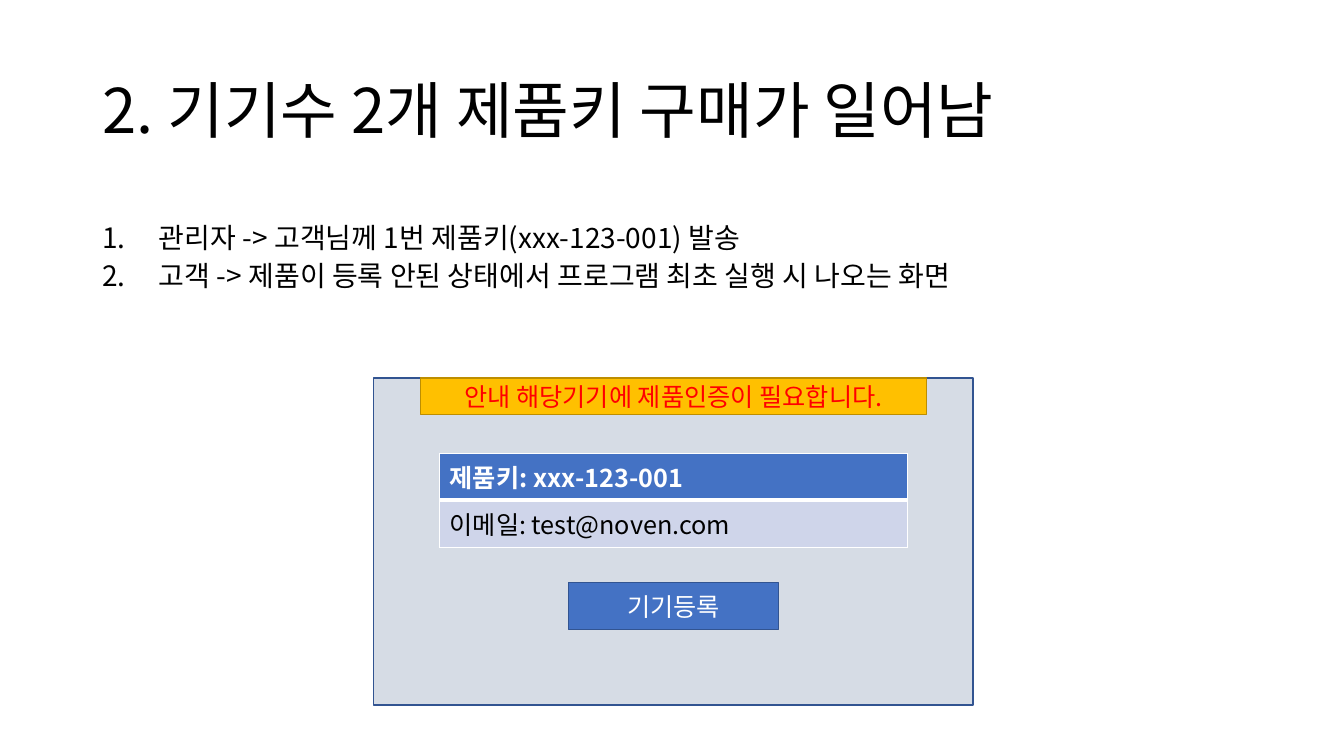
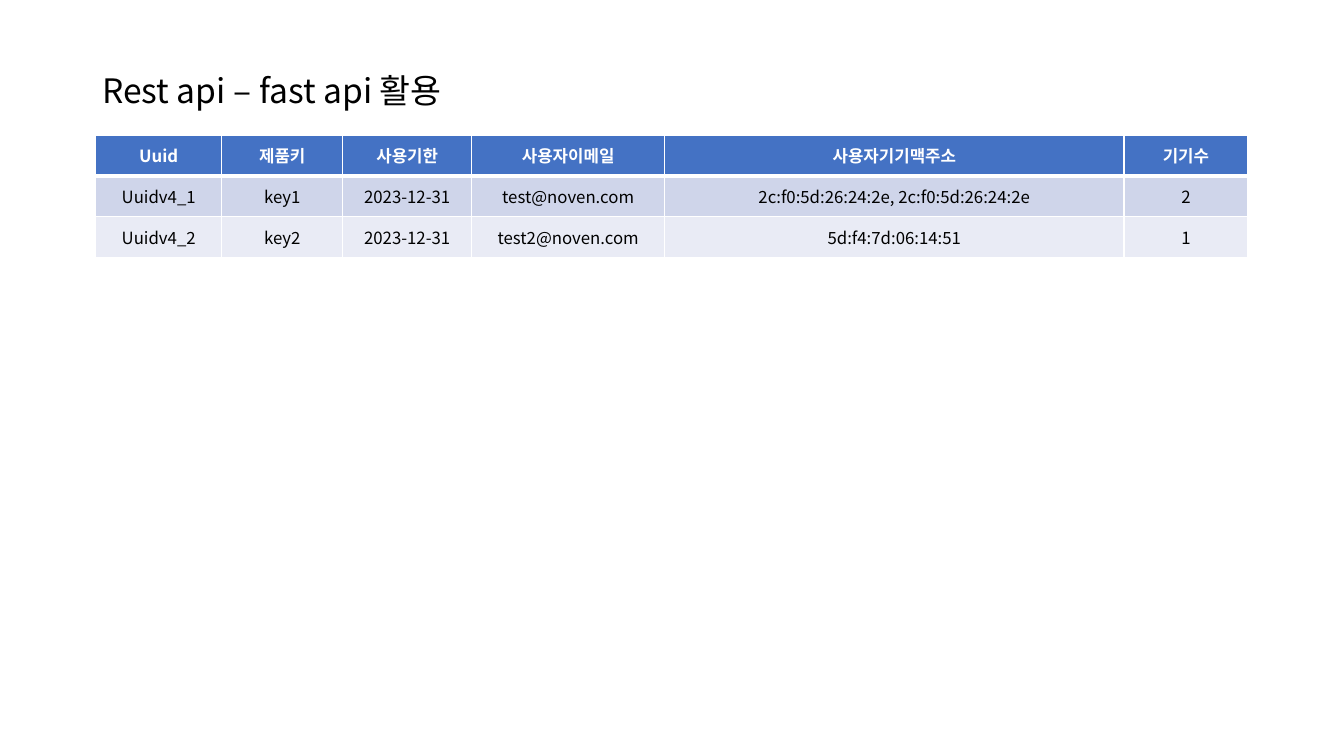
from pptx import Presentation
from pptx.dml.color import RGBColor
from pptx.enum.shapes import MSO_SHAPE as Shape
from pptx.enum.text import MSO_ANCHOR as Anchor, PP_ALIGN as Align
from pptx.oxml.ns import qn
from pptx.util import Pt
from lxml.etree import SubElement

# Shared style
FONT = "Noto Sans CJK KR"
COLORS = {
    "black": "000000",
    "white": "FFFFFF",
    "red": "FF0000",
    "blue": "4472C4",
    "blue_edge": "325491",
    "amber": "FFC000",
    "amber_edge": "BD8E00",
    "window": "D6DCE5",
    "band_dark": "CFD5EA",
    "band_light": "E9EBF5",
}
MARGIN, CONTENT_WIDTH, TITLE_TOP = 66, 828, 28.8
WINDOW_CENTER = 481


def color(name):
    return RGBColor.from_string(COLORS[name])


def write(paragraph, text, size=18, ink="black", bold=False, align=Align.LEFT,
          line_spacing=None, space_after=0):
    """Write one formatted run into a paragraph."""
    paragraph.alignment = align
    paragraph.line_spacing = line_spacing
    paragraph.space_after = Pt(space_after)
    run = paragraph.add_run()
    run.text = text
    run.font.name = FONT
    run.font.size = Pt(size)
    run.font.bold = bold
    run.font.color.rgb = color(ink)
    SubElement(run.font._element, qn("a:ea"), typeface=FONT)


def add_text_box(slide, left, top, width, height, anchor=Anchor.TOP):
    box = slide.shapes.add_textbox(Pt(left), Pt(top), Pt(width), Pt(height))
    box.text_frame.word_wrap = True
    box.text_frame.vertical_anchor = anchor
    return box.text_frame


def add_title(slide, text, size, height):
    frame = add_text_box(slide, MARGIN, TITLE_TOP, CONTENT_WIDTH, height, Anchor.MIDDLE)
    write(frame.paragraphs[0], text, size=size, line_spacing=0.9)


def add_numbered_list(slide, items, top, height, indent=40.5):
    frame = add_text_box(slide, MARGIN, top, CONTENT_WIDTH, height)
    for index, item in enumerate(items):
        paragraph = frame.add_paragraph() if index else frame.paragraphs[0]
        write(paragraph, item, size=20, line_spacing=0.9, space_after=5.4)
        properties = paragraph._p.get_or_add_pPr()
        properties.set("marL", str(Pt(indent)))
        properties.set("indent", str(-Pt(indent)))
        SubElement(properties, qn("a:buFont"), typeface="+mj-lt")
        SubElement(properties, qn("a:buAutoNum"), type="arabicPeriod")


def add_centered_box(slide, top, width, height, fill, edge, text="", ink="white"):
    """Add a rectangle centred on the program window."""
    shape = slide.shapes.add_shape(Shape.RECTANGLE, Pt(WINDOW_CENTER - width / 2),
                                   Pt(top), Pt(width), Pt(height))
    shape.shadow.inherit = False
    shape.fill.solid()
    shape.fill.fore_color.rgb = color(fill)
    shape.line.color.rgb = color(edge)
    shape.line.width = Pt(1)
    if text:
        shape.text_frame.word_wrap = True
        shape.text_frame.vertical_anchor = Anchor.MIDDLE
        write(shape.text_frame.paragraphs[0], text, ink=ink, align=Align.CENTER)


def set_borders(cell, widths):
    properties = cell._tc.get_or_add_tcPr()
    for position, (side, width) in enumerate(widths.items()):
        line = properties.makeelement(qn(f"a:{side}"), {"w": str(Pt(width))})
        fill = SubElement(line, qn("a:solidFill"))
        SubElement(fill, qn("a:srgbClr"), val=COLORS["white"])
        properties.insert(position, line)


def add_banded_table(slide, left, top, widths, row_height, rows, size,
                     align=Align.LEFT, anchor=Anchor.TOP):
    """Add a table with a blue header and alternating bands below it."""
    frame = slide.shapes.add_table(len(rows), len(widths), Pt(left), Pt(top),
                                   Pt(sum(widths)), Pt(row_height * len(rows)))
    table = frame.table
    table.first_row = table.horz_banding = False
    for column, width in zip(table.columns, widths):
        column.width = Pt(width)
    for row_index, values in enumerate(rows):
        header = row_index == 0
        band = "band_dark" if row_index % 2 else "band_light"
        table.rows[row_index].height = Pt(row_height)
        for column_index, value in enumerate(values):
            cell = table.cell(row_index, column_index)
            cell.vertical_anchor = anchor
            cell.fill.solid()
            cell.fill.fore_color.rgb = color("blue" if header else band)
            write(cell.text_frame.paragraphs[0], value, size=size, bold=header,
                  ink="white" if header else "black", align=align)
            if header:
                set_borders(cell, {"lnL": 1, "lnR": 1, "lnT": 1, "lnB": 3})
            else:
                set_borders(cell, {"lnL": 1, "lnR": 1, "lnB": 1})


def build_purchase_slide(slide):
    add_title(slide, "2. 기기수 2개 제품키 구매가 일어남", size=44, height=104.4)
    add_numbered_list(slide, [
        "관리자 -> 고객님께 1번 제품키(xxx-123-001) 발송",
        "고객 -> 제품이 등록 안된 상태에서 프로그램 최초 실행 시 나오는 화면",
    ], top=157, height=80)

    # Program window with its form, notice and button
    add_centered_box(slide, 270, 428, 233.5, "window", "blue_edge")
    form_width = 334
    add_banded_table(slide, WINDOW_CENTER - form_width / 2, 324, [form_width], 33.4, [
        ["제품키: xxx-123-001"],
        ["이메일: test@noven.com"],
    ], size=18)
    add_centered_box(slide, 270, 361.5, 26, "amber", "amber_edge",
                     "안내 해당기기에 제품인증이 필요합니다.", ink="red")
    add_centered_box(slide, 416, 150, 33.8, "blue", "blue_edge", "기기등록")


def build_api_slide(slide):
    add_title(slide, "Rest api – fast api 활용", size=24, height=74.2)
    add_banded_table(slide, 68.4, 96.5, [90, 86.5, 92, 138, 328, 88.5], 29.2, [
        ["Uuid", "제품키", "사용기한", "사용자이메일", "사용자기기맥주소", "기기수"],
        ["Uuidv4_1", "key1", "2023-12-31", "test@noven.com",
         "2c:f0:5d:26:24:2e, 2c:f0:5d:26:24:2e", "2"],
        ["Uuidv4_2", "key2", "2023-12-31", "test2@noven.com", "5d:f4:7d:06:14:51", "1"],
    ], size=12, align=Align.CENTER, anchor=Anchor.MIDDLE)


def main():
    presentation = Presentation()
    presentation.slide_width, presentation.slide_height = Pt(960), Pt(540)
    blank = presentation.slide_layouts[6]
    for build in (build_purchase_slide, build_api_slide):
        build(presentation.slides.add_slide(blank))
    presentation.save("out.pptx")


if __name__ == "__main__":
    main()
